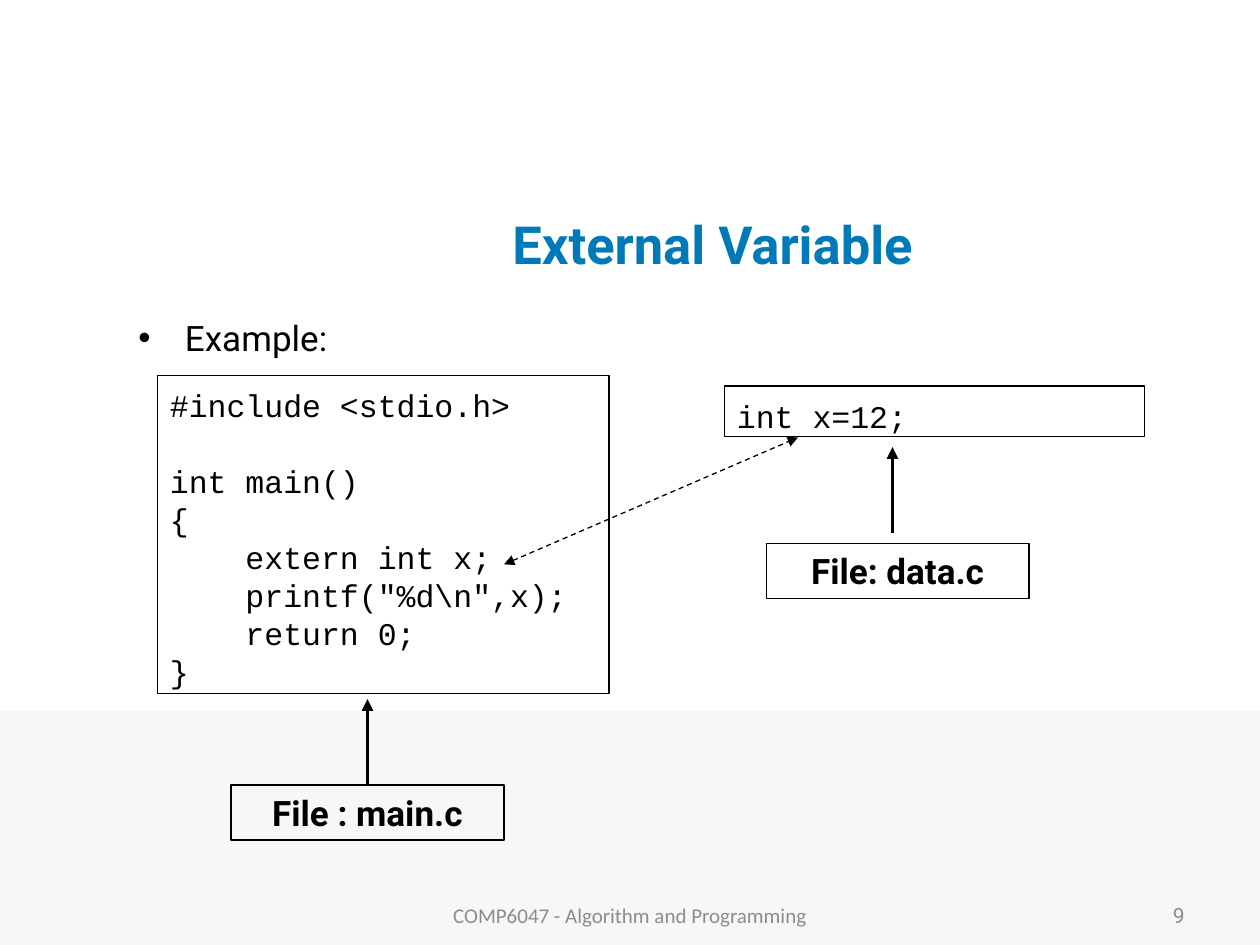
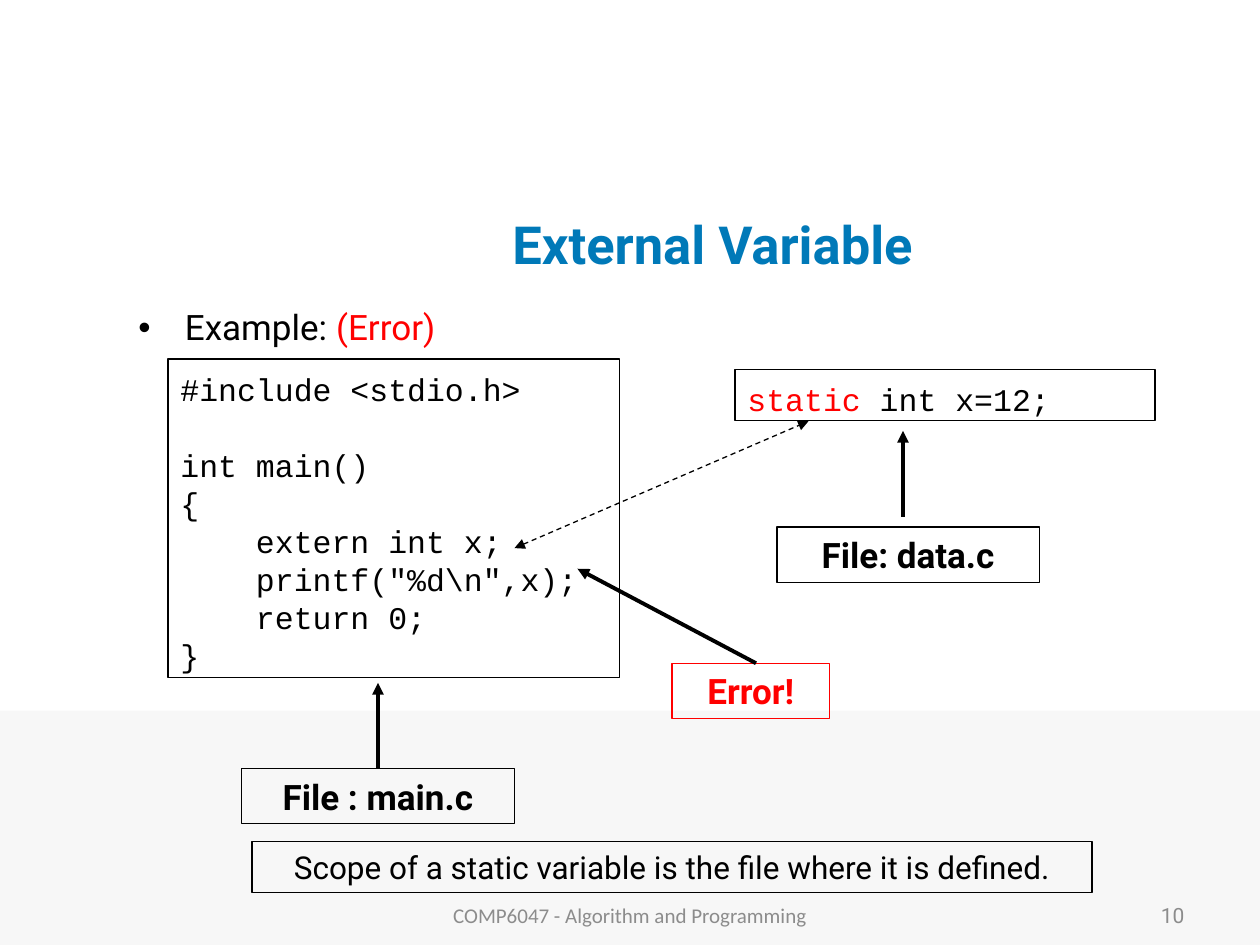
import pptx
import pptx.dml.color
import pptx.enum.dml
import pptx.enum.shapes
import pptx.enum.text
import pptx.oxml
import pptx.oxml.ns
import pptx.util

Pt = pptx.util.Pt
RGB = pptx.dml.color.RGBColor.from_string
LEFT, CENTER, RIGHT = (pptx.enum.text.PP_ALIGN[name] for name in ("LEFT", "CENTER", "RIGHT"))
TOP, MIDDLE = pptx.enum.text.MSO_ANCHOR.TOP, pptx.enum.text.MSO_ANCHOR.MIDDLE
NAMESPACE = pptx.oxml.ns.nsdecls("a")

CODE_LINE = Pt(21.7)
CODE_INDENT = Pt(43.2)  # four characters of 18 pt monospace
BULLET_INDENT = Pt(26.6)

THEME = {
    "colors": {"band": "F7F7F7", "title": "0079B8", "text": "000000",
               "error": "FF0000", "footer": "8C8C8C"},
    "styles": {
        "title": {"font": {"name": "Roboto", "size": Pt(30), "bold": True},
                  "paragraph": {"alignment": CENTER}, "frame": {"vertical_anchor": MIDDLE}},
        "bullet": {"font": {"name": "Roboto", "size": Pt(20)},
                   "paragraph": {"alignment": LEFT, "line_spacing": 0.9},
                   "frame": {"vertical_anchor": TOP}},
        "code": {"font": {"name": "Courier New", "size": Pt(18)},
                 "paragraph": {"alignment": LEFT, "line_spacing": CODE_LINE},
                 "frame": {"vertical_anchor": TOP, "margin_top": Pt(6)}},
        "label": {"font": {"name": "Roboto", "size": Pt(20), "bold": True},
                  "paragraph": {"alignment": CENTER}, "frame": {"vertical_anchor": MIDDLE}},
        "note": {"font": {"name": "Roboto", "size": Pt(18)},
                 "paragraph": {"alignment": CENTER}, "frame": {"vertical_anchor": MIDDLE}},
        "footer": {"font": {"name": "Calibri", "size": Pt(12)},
                   "paragraph": {"alignment": CENTER}, "frame": {"vertical_anchor": MIDDLE}},
        "number": {"font": {"name": "Roboto", "size": Pt(12)},
                   "paragraph": {"alignment": RIGHT}, "frame": {"vertical_anchor": MIDDLE}},
    },
}
COLORS = THEME["colors"]


def write_text(shape, style_name, lines):
    """Fill a shape with lines, each a list of (text, colour name) runs."""
    style = THEME["styles"][style_name]
    frame = shape.text_frame
    frame.word_wrap = True
    frame.auto_size = pptx.enum.text.MSO_AUTO_SIZE.NONE
    for name, value in style["frame"].items():
        setattr(frame, name, value)
    for index, runs in enumerate(lines):
        paragraph = frame.add_paragraph() if index else frame.paragraphs[0]
        for name, value in style["paragraph"].items():
            setattr(paragraph, name, value)
        for text, color in runs:
            run = paragraph.add_run()
            run.text = text
            run.font.color.rgb = RGB(COLORS[color])
            for name, value in style["font"].items():
                setattr(run.font, name, value)


def add_arrow(slide, start, end, width=2.25, double_dashed=False):
    connector = slide.shapes.add_connector(
        pptx.enum.shapes.MSO_CONNECTOR.STRAIGHT, *(Pt(value) for value in (*start, *end)))
    connector.line.color.rgb = RGB(COLORS["text"])
    connector.line.width = Pt(width)
    if double_dashed:
        connector.line.dash_style = pptx.enum.dml.MSO_LINE.DASH
    line = connector.line._get_or_add_ln()
    for tag in ("headEnd", "tailEnd") if double_dashed else ("tailEnd",):
        line.append(pptx.oxml.parse_xml(f'<a:{tag} {NAMESPACE} type="triangle"/>'))
    connector.element.spPr.append(pptx.oxml.parse_xml(f"<a:effectLst {NAMESPACE}/>"))


# Each program line: text, indent level, blank line above
PROGRAM = [
    ("#include <stdio.h>", 0, False),
    ("int main()", 0, True),
    ("{", 0, False),
    ("extern int x;", 1, False),
    ('printf("%d\\n",x);', 1, False),
    ("return 0;", 1, False),
    ("}", 0, False),
]

# The file diagram is the same on both slides, moved by "shift"
SLIDES = [
    {"number": "9", "shift": (0, 0), "bullet_box": (72, 180, 192, 36),
     "bullet": [("Example:", "text")],
     "data": [("int x=12;", "text")]},
    {"number": "10", "shift": (6, -9.3), "bullet_box": (72, 174, 216, 30),
     "bullet": [("Example: ", "text"), ("(Error)", "error")],
     "data": [("static ", "error"), ("int x=12;", "text")]},
]

presentation = pptx.Presentation()
presentation.slide_width, presentation.slide_height = Pt(720), Pt(540)
layout = presentation.slide_layouts[5]

for content in SLIDES:
    slide = presentation.slides.add_slide(layout)

    if content is SLIDES[0]:
        # Layouts cannot add shapes, so the shared band is made here and moved there
        band = slide.shapes.add_shape(pptx.enum.shapes.MSO_SHAPE.RECTANGLE,
                                      0, Pt(406), Pt(720), Pt(134))
        band.shadow.inherit = False
        band.fill.solid()
        band.fill.fore_color.rgb = RGB(COLORS["band"])
        band.line.fill.background()
        layout.shapes.element.insert(2, band.element)

    title = slide.shapes.title
    title.left, title.top, title.width, title.height = Pt(138), Pt(108), Pt(538.5), Pt(62.5)
    write_text(title, "title", [[("External Variable", "title")]])

    dx, dy = content["shift"]
    # Style, box, lines, outline colour
    items = [
        ("bullet", content["bullet_box"], [content["bullet"]], None),
        ("code", (90 + dx, 214.5 + dy, 258, 182), [[(line[0], "text")] for line in PROGRAM], "text"),
        ("label", (132 + dx, 448.5 + dy, 156, 31.5), [[("File : main.c", "text")]], "text"),
        ("code", (414 + dx, 220.5 + dy, 240, 29), [content["data"]], "text"),
        ("label", (438 + dx, 310.5 + dy, 150, 31.5), [[("File: data.c", "text")]], "text"),
        ("footer", (246, 508.5, 228, 28.5), [[("COMP6047 - Algorithm and Programming", "footer")]], None),
        ("number", (516, 508.5, 168, 28.5), [[(content["number"], "footer")]], None),
    ]
    if content is SLIDES[1]:
        items += [
            ("label", (384, 379, 90, 31.5), [[("Error!", "error")]], "error"),
            ("note", (144, 481, 480, 29),
             [[("Scope of a static variable is the file where it is defined.", "text")]], "text"),
        ]

    for style_name, box, lines, outline in items:
        shape = slide.shapes.add_textbox(*(Pt(value) for value in box))
        write_text(shape, style_name, lines)
        if outline:
            shape.line.color.rgb = RGB(COLORS[outline])
            shape.line.width = Pt(0.75)
        paragraphs = shape.text_frame.paragraphs
        if style_name == "bullet":
            properties = paragraphs[0]._p.get_or_add_pPr()
            properties.set("marL", str(int(BULLET_INDENT)))
            properties.set("indent", str(-int(BULLET_INDENT)))
            properties.append(pptx.oxml.parse_xml(f'<a:buFont {NAMESPACE} typeface="Arial"/>'))
            properties.append(pptx.oxml.parse_xml(f'<a:buChar {NAMESPACE} char="•"/>'))
        if len(lines) == len(PROGRAM):
            for paragraph, (_, level, gap_above) in zip(paragraphs, PROGRAM):
                paragraph._p.get_or_add_pPr().set("marL", str(level * int(CODE_INDENT)))
                if gap_above:
                    paragraph.space_before = CODE_LINE

    add_arrow(slide, (210 + dx, 448.5 + dy), (210 + dx, 399.5 + dy))
    add_arrow(slide, (510 + dx, 304.5 + dy), (510 + dx, 255.5 + dy))
    add_arrow(slide, (288 + dx, 322.5 + dy), (456 + dx, 250 + dy), 0.75, double_dashed=True)
    if content is SLIDES[1]:
        add_arrow(slide, (432, 379), (330, 325))

presentation.save("out.pptx")
